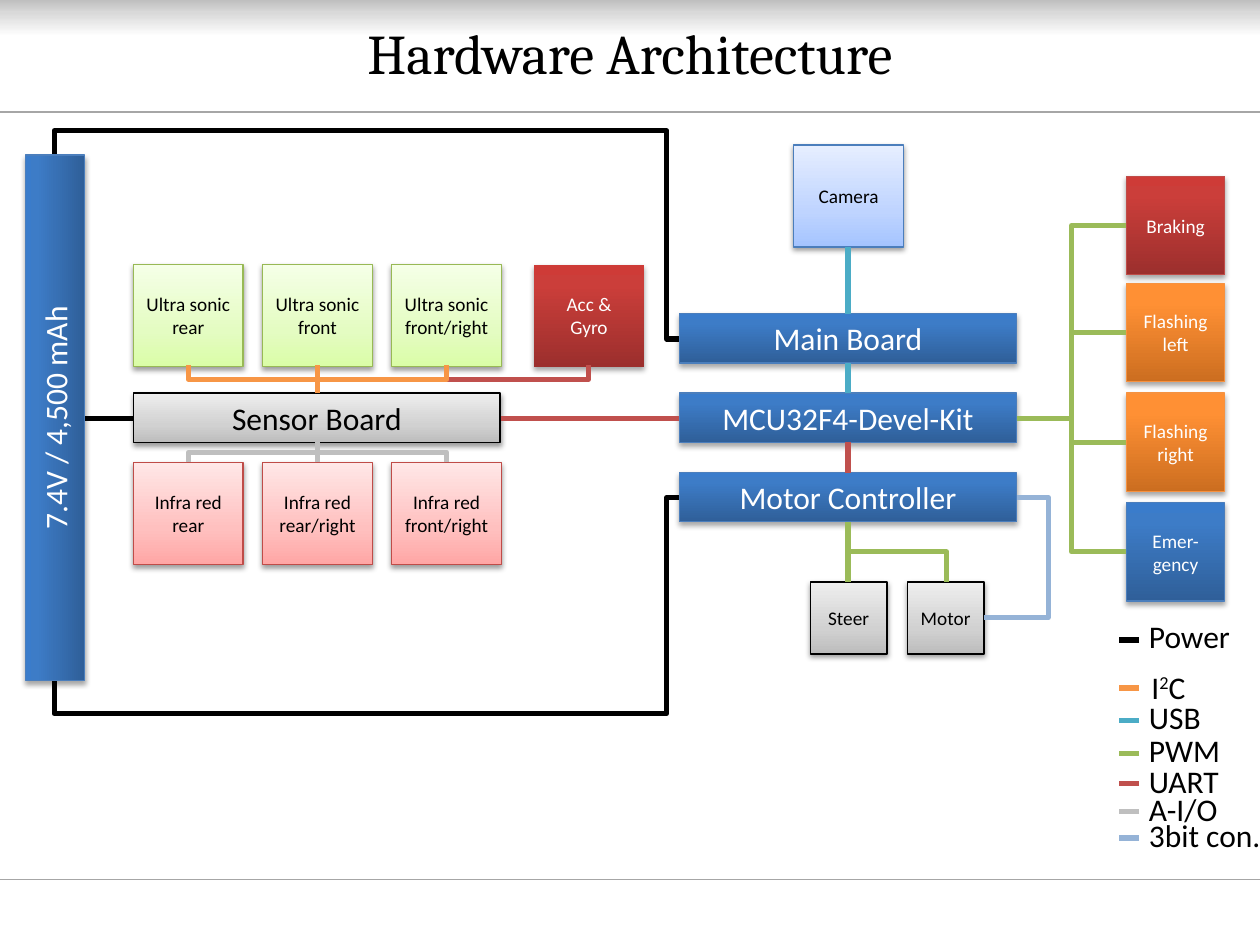
from dataclasses import dataclass

from lxml import etree
from pptx import Presentation
from pptx.dml.color import RGBColor
from pptx.enum.shapes import MSO_CONNECTOR, MSO_SHAPE
from pptx.enum.text import MSO_ANCHOR, PP_ALIGN
from pptx.oxml.ns import qn
from pptx.util import Inches, Pt

STRAIGHT, ELBOW = MSO_CONNECTOR.STRAIGHT, MSO_CONNECTOR.ELBOW
RECTANGLE = MSO_SHAPE.RECTANGLE
MIDDLE, TOP = MSO_ANCHOR.MIDDLE, MSO_ANCHOR.TOP
CENTER, LEFT = PP_ALIGN.CENTER, PP_ALIGN.LEFT

COLUMNS, ROWS = 100, 75
WIDTH, HEIGHT = Inches(10), Inches(7.5)
POWER, I2C, USB, PWM = "000000", "F79646", "4BACC6", "9BBB59"
UART, ANALOG, CONTROL = "C0504D", "BFBFBF", "95B3D7"
BLACK, WHITE = "000000", "FFFFFF"
RIGHT, DOWN, BACK, UP = 0, 90, 180, 270


@dataclass(frozen=True)
class Style:
    """Gradient stops, outline, text colour and shadow of a block."""
    stops: tuple
    outline: str | None
    text: str
    shadow: tuple | None


@dataclass(frozen=True)
class Block:
    """A labelled rectangle placed in grid columns and rows."""
    label: str
    left: float
    top: float
    width: float
    height: float
    style: Style
    size: int = 11
    rotation: int = 0


@dataclass(frozen=True)
class Link:
    """A bus between two grid points, bent when it has a heading."""
    color: str
    start: tuple
    end: tuple
    heading: int | None = None
    adjustments: tuple = (0.5,)
    weight: float = 3


@dataclass(frozen=True)
class Legend:
    """A legend entry with its text row and key row."""
    label: str
    color: str
    top: float
    key: float
    shift: float = 0


DARK_SHADOW, PALE_SHADOW = (35, 1.8), (38, 1.6)


def dark(low: str, middle: str, high: str, outline: str | None) -> Style:
    """Return a saturated style with white text."""
    return Style(((0, low), (80, middle), (100, high)), outline, WHITE, DARK_SHADOW)


def pale(low: str, middle: str, high: str, outline: str) -> Style:
    """Return a light style with black text."""
    return Style(((0, low), (35, middle), (100, high)), outline, BLACK, PALE_SHADOW)


BLUE = dark("2F5F99", "3D7CC7", "3A7CCB", "4B7EBC")
RED = dark("9C2F2D", "CB3E3A", "CE3B37", "BF4C48")
PLAIN_RED = dark("9C2F2D", "CB3E3A", "CE3B37", None)
ORANGE = dark("CC6E20", "FF9034", "FF9136", "F69240")
PINK = pale("FFA6A5", "FFC0BF", "FFE7E7", "BF4C48")
GREEN = pale("DAFDA7", "E4FCC2", "F5FFE7", "98B955")
GRAY = pale("BDBDBD", "D1D1D1", "EEEEEE", "000000")
SKY = pale("A4C4FF", "BFD4FF", "E6EEFF", "4B7EBC")
BANNER = Style(((0, "BFBFBF"), (34, "D9D9D9"), (100, "FFFFFF")), None, BLACK, None)

SENSOR_LEFTS = [10.6 + 10.25 * index for index in range(3)]
SENSOR_CENTERS = [left + 4.35 for left in SENSOR_LEFTS]
BOARD_TOPS = [24.9 + 6.3 * index for index in range(3)]
LIGHT_TOPS = [14, 22.5, 31.2, 39.9]
HUB, BOARD_X, BOARD_RIGHT, SPINE = SENSOR_CENTERS[1], 53.9, 80.7, 67.3

BLOCKS = [
    *(Block(f"Ultra sonic {place}", left, 21, 8.7, 8.1, GREEN)
      for place, left in zip(("rear", "front", "front/right"), SENSOR_LEFTS)),
    *(Block(f"Infra red {place}", left, 36.7, 8.7, 8.1, PINK)
      for place, left in zip(("rear", "rear/right", "front/right"), SENSOR_LEFTS)),
    Block("Acc & Gyro", 42.4, 21, 8.7, 8.1, PLAIN_RED),
    Block("Camera", 63, 11.5, 8.7, 8.1, SKY),
    Block("Steer", 64.3, 46.2, 6.1, 5.7, GRAY),
    Block("Motor", 72, 46.2, 6.1, 5.7, GRAY),
    Block("Sensor Board", 10.6, 31.2, 29.1, 3.9, GRAY, 18),
    *(Block(label, BOARD_X, top, 26.8, 3.9, BLUE, 18)
      for label, top in zip(("Main Board", "MCU32F4-Devel-Kit", "Motor Controller"), BOARD_TOPS)),
    *(Block(label, 89.4, top, 7.8, 7.8, style)
      for label, top, style in zip(("Braking", "Flashing left", "Flashing right", "Emer-gency"),
                                   LIGHT_TOPS, (RED, ORANGE, ORANGE, BLUE))),
]
BATTERY = Block("7.4V / 4,500 mAh", -16.5, 30.8, 41.7, 4.7, BLUE, 18, 270)

LINKS = [
    Link(UART, (HUB, 31.2), (46.7, 29), UP),
    *(Link(I2C, (HUB, 31.2), (center, 29), UP) for center in SENSOR_CENTERS[::2]),
    Link(I2C, (HUB, 31.2), (HUB, 29)),
    *(Link(ANALOG, (center, 36.7), (HUB, 35.1), UP) for center in SENSOR_CENTERS[::2]),
    Link(ANALOG, (HUB, 36.7), (HUB, 35.1)),
    Link(UART, (39.8, 33.2), (BOARD_X, 33.2)),
    Link(USB, (SPINE, 19.6), (SPINE, 24.9)),
    Link(USB, (SPINE, 28.8), (SPINE, 31.2)),
    Link(UART, (SPINE, 37.5), (SPINE, 35.1)),
    Link(PWM, (SPINE, 41.4), (SPINE, 46.2)),
    Link(PWM, (75.1, 46.2), (SPINE, 41.4), UP),
    *(Link(PWM, (89.4, top + 3.9), (BOARD_RIGHT, 33.2), BACK) for top in LIGHT_TOPS),
    Link(CONTROL, (78.1, 49), (BOARD_RIGHT, 39.5), RIGHT, (1.96,)),
    Link(POWER, (10.6, 33.2), (6.7, 33.2)),
    Link(POWER, (BOARD_X, 26.9), (4.3, 54), BACK, (0.02, -0.61)),
    Link(POWER, (BOARD_X, 39.5), (4.3, 12.3), BACK, (0.02, -0.63)),
]
RULES = [Link("A6A6A6", (0, row), (COLUMNS, row), weight=0.75) for row in (8.9, 69.8)]

LEGENDS = [
    Legend("Power", POWER, 48.5, 50.8),
    Legend("I2C", I2C, 52.5, 54.6, 0.2),
    Legend("USB", USB, 54.9, 57.2),
    Legend("PWM", PWM, 57.5, 59.8),
    Legend("UART", UART, 60, 62.2),
    Legend("A-I/O", ANALOG, 62.2, 64.4),
    Legend("3bit con.", CONTROL, 64.3, 66.5),
]


def x(columns: float) -> int:
    """Convert grid columns to a length."""
    return round(WIDTH * columns / COLUMNS)


def y(rows: float) -> int:
    """Convert grid rows to a length."""
    return round(HEIGHT * rows / ROWS)


def rgb(color: str) -> RGBColor:
    """Convert a hex string to a colour."""
    return RGBColor.from_string(color)


def add_node(parent, tag: str, **attributes):
    """Append a drawing element with the given attributes."""
    values = {name: str(value) for name, value in attributes.items()}
    return etree.SubElement(parent, qn(f"a:{tag}"), values)


def write(shape, text: str, size: int, color: str, alignment=CENTER,
          anchor=MIDDLE, font: str = "Calibri") -> None:
    """Fill a shape with text, raising the digit of I2C."""
    frame = shape.text_frame
    frame.word_wrap, frame.vertical_anchor = True, anchor
    paragraph = frame.paragraphs[0]
    paragraph.alignment = alignment
    for part in (text if text == "I2C" else [text]):
        run = paragraph.add_run()
        run.text = part
        for name, value in {"size": Pt(size), "name": font}.items():
            setattr(run.font, name, value)
        run.font.color.rgb = rgb(color)
        if part == "2":
            run.font._element.set("baseline", "30000")


def draw_block(slide, block: Block, angle: int = 270) -> None:
    """Draw a gradient rectangle with its label."""
    shape = slide.shapes.add_shape(RECTANGLE, x(block.left), y(block.top),
                                   x(block.width), y(block.height))
    style, properties = block.style, shape._element.spPr
    shape.rotation = block.rotation
    gradient = add_node(properties, "gradFill", rotWithShape=1)
    stops = add_node(gradient, "gsLst")
    for position, color in style.stops:
        add_node(add_node(stops, "gs", pos=position * 1000), "srgbClr", val=color)
    add_node(gradient, "lin", ang=angle * 60000, scaled=0)
    if style.outline:
        shape.line.color.rgb, shape.line.width = rgb(style.outline), Pt(0.75)
    else:
        shape.line.fill.background()
    effects = add_node(properties, "effectLst")
    if style.shadow:
        opacity, distance = style.shadow
        shadow = add_node(effects, "outerShdw", blurRad=Pt(3.1), dist=Pt(distance),
                          dir=90 * 60000, rotWithShape=0)
        add_node(add_node(shadow, "srgbClr", val=BLACK), "alpha", val=opacity * 1000)
    if block.label:
        write(shape, block.label, block.size, style.text)


def draw_link(slide, link: Link) -> None:
    """Draw a straight connector, or a bent one leaving along its heading."""
    (x1, y1), (x2, y2) = link.start, link.end
    dx, dy = x2 - x1, y2 - y1
    turned = {None: (dx, dy), RIGHT: (dx, dy), DOWN: (dy, -dx), BACK: (-dx, -dy), UP: (-dy, dx)}
    along, across = turned[link.heading]
    middle_x, middle_y = (x1 + x2) / 2, (y1 + y2) / 2
    connector = slide.shapes.add_connector(
        STRAIGHT if link.heading is None else ELBOW,
        x(middle_x - along / 2), y(middle_y - across / 2),
        x(middle_x + along / 2), y(middle_y + across / 2))
    properties = connector._element.spPr
    if link.heading is not None:
        properties.find(qn("a:xfrm")).set("rot", str(link.heading * 60000))
        geometry = properties.find(qn("a:prstGeom"))
        geometry.set("prst", f"bentConnector{len(link.adjustments) + 2}")
        guides = geometry.find(qn("a:avLst"))
        for number, value in enumerate(link.adjustments, 1):
            add_node(guides, "gd", name=f"adj{number}", fmla=f"val {round(value * 100000)}")
    connector.line.color.rgb, connector.line.width = rgb(link.color), Pt(link.weight)
    add_node(properties, "effectLst")


def draw_legend(slide, legend: Legend) -> None:
    """Draw a legend key and its name."""
    box = slide.shapes.add_textbox(x(90.2 + legend.shift), y(legend.top), x(11.4), y(4))
    write(box, legend.label, 18, BLACK, LEFT, TOP)
    draw_link(slide, Link(legend.color, (90.4, legend.key), (88.8, legend.key)))


def main() -> None:
    """Build the hardware architecture slide."""
    presentation = Presentation()
    presentation.slide_width, presentation.slide_height = WIDTH, HEIGHT
    slide = presentation.slides.add_slide(presentation.slide_layouts[6])
    draw_block(slide, Block("", 0, 0, COLUMNS, 2.9, BANNER), 90)
    title = slide.shapes.add_textbox(x(5), y(0.3), x(90), y(7.7))
    write(title, "Hardware Architecture", 32, BLACK, font="Cambria")
    for block in BLOCKS:
        draw_block(slide, block)
    for link in RULES + LINKS:
        draw_link(slide, link)
    draw_block(slide, BATTERY)
    for legend in LEGENDS:
        draw_legend(slide, legend)
    presentation.save("out.pptx")


if __name__ == "__main__":
    main()
